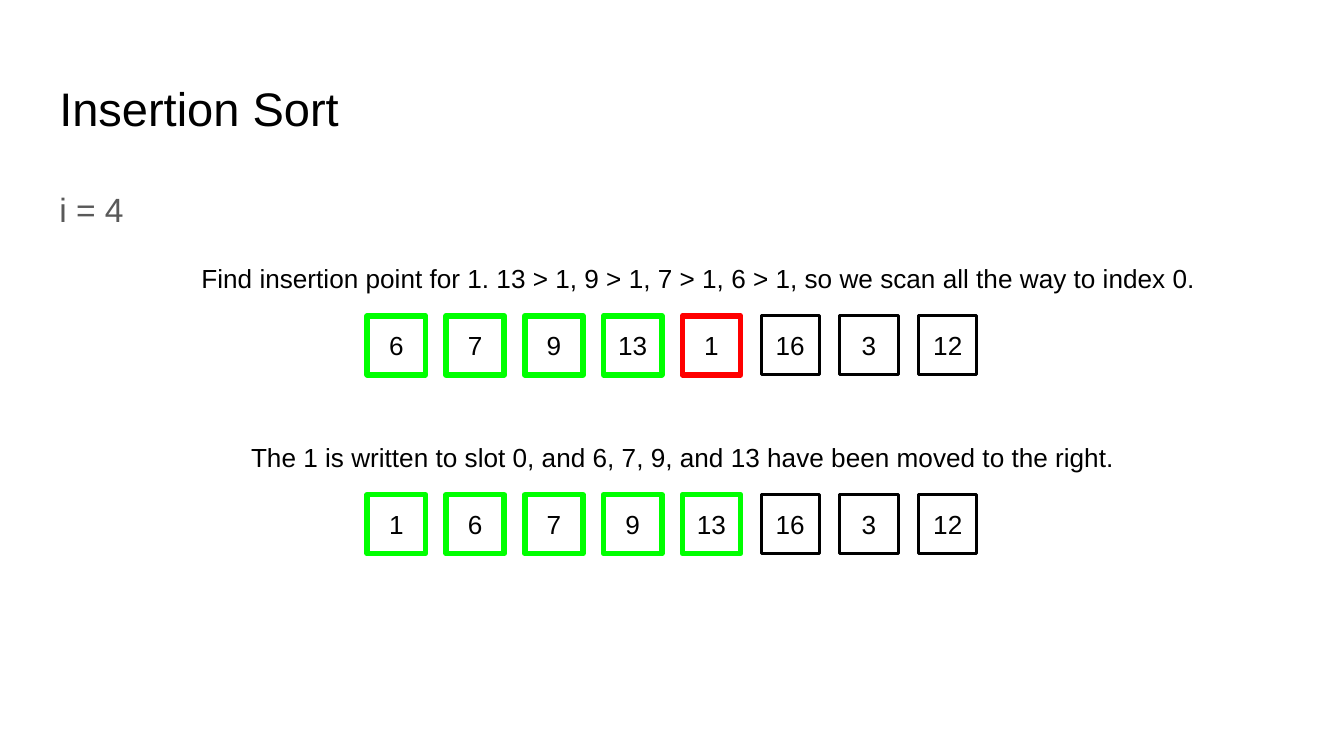
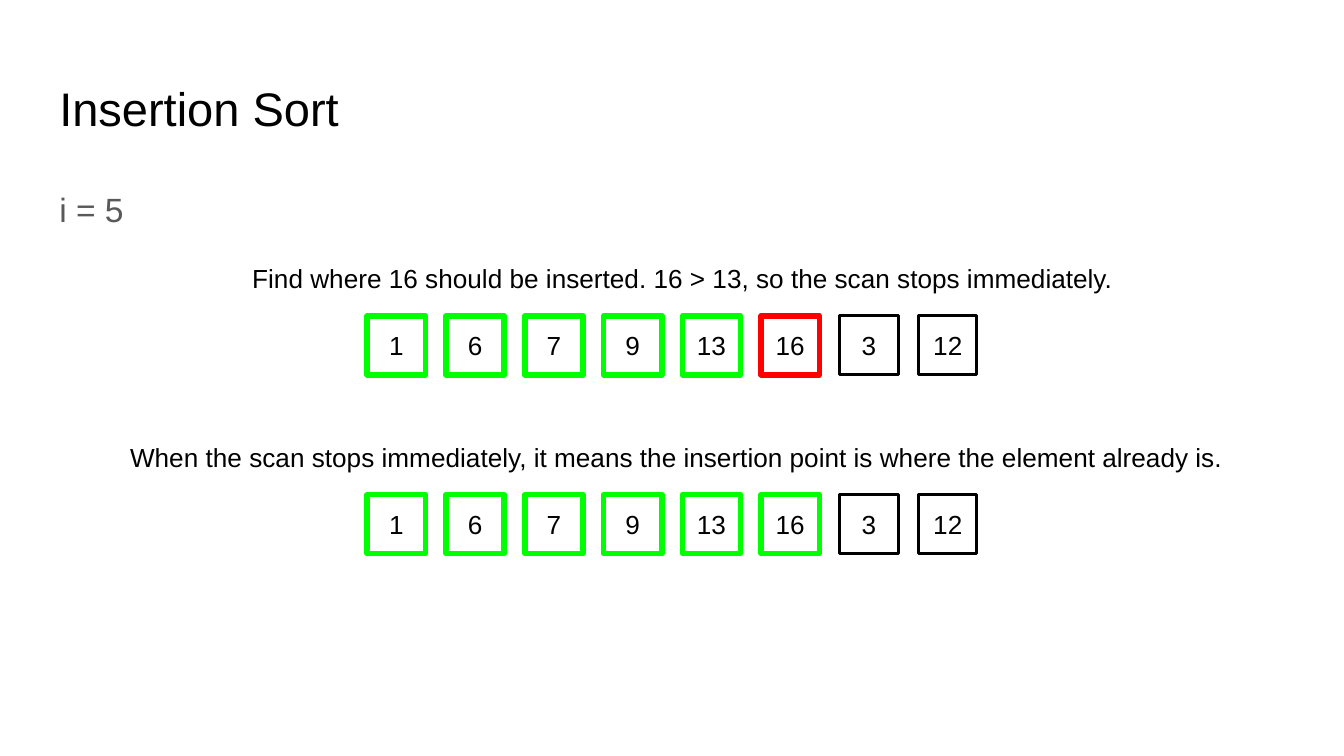
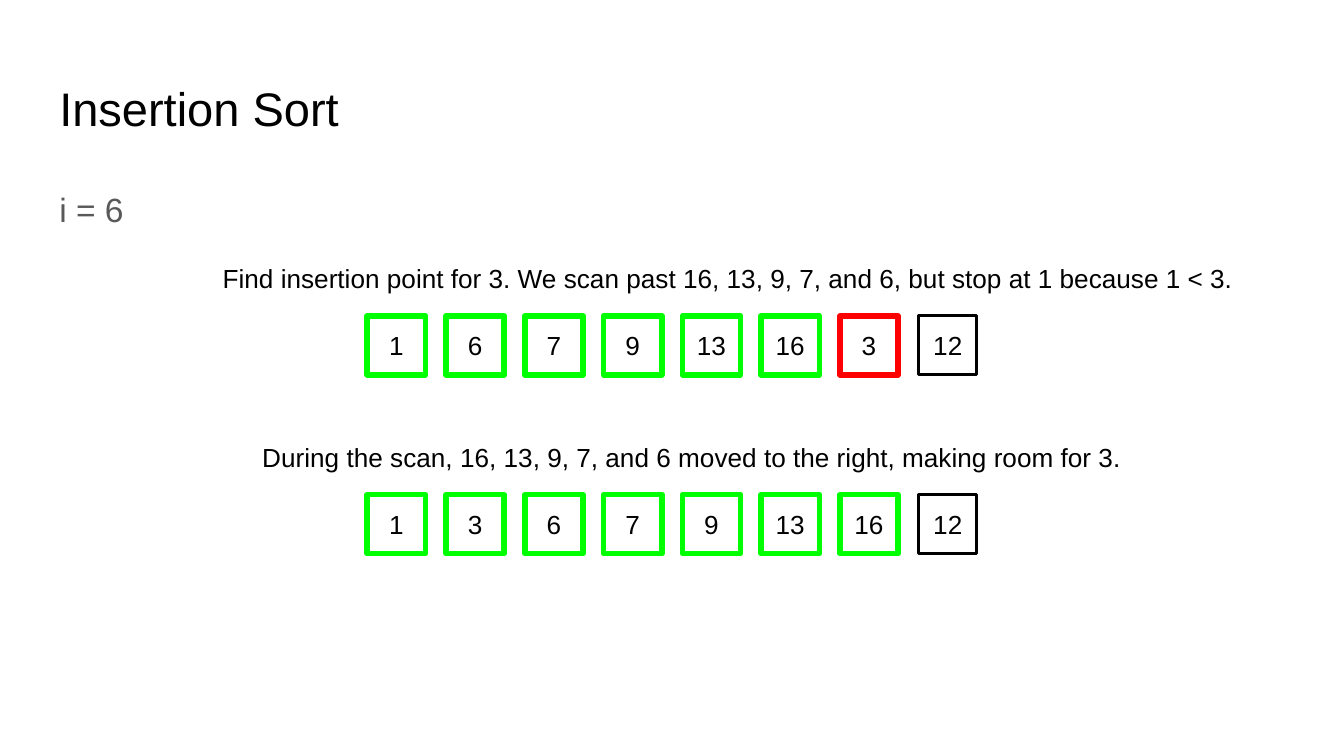
from dataclasses import dataclass

from lxml import etree
from pptx import Presentation
from pptx.dml.color import RGBColor
from pptx.enum.shapes import MSO_SHAPE
from pptx.enum.text import MSO_ANCHOR, MSO_AUTO_SIZE, PP_ALIGN
from pptx.oxml.ns import qn
from pptx.util import Pt

RECT = MSO_SHAPE.RECTANGLE
TOP, MIDDLE, BOTTOM = MSO_ANCHOR.TOP, MSO_ANCHOR.MIDDLE, MSO_ANCHOR.BOTTOM
LEFT, CENTER = PP_ALIGN.LEFT, PP_ALIGN.CENTER
FIXED, GROW = MSO_AUTO_SIZE.NONE, MSO_AUTO_SIZE.SHAPE_TO_FIT_TEXT


@dataclass(frozen=True)
class Theme:
    """Colours, type sizes and measures shared by the slides."""
    font: str = "Arial"
    ink: RGBColor = RGBColor(0x00, 0x00, 0x00)
    grey: RGBColor = RGBColor(0x59, 0x59, 0x59)
    sorted_line: RGBColor = RGBColor(0x00, 0xFF, 0x00)
    current_line: RGBColor = RGBColor(0xFF, 0x00, 0x00)
    title_size: float = 25.2
    body_size: float = 18
    text_size: float = 14
    inset: float = 7.2
    thick: float = 3
    thin: float = 1.5


THEME = Theme()
SLIDE_SIZE = (720, 405)
TITLE_BOX = (24.55, 35.05, 670.9, 45.1)
BODY_BOX = (24.55, 90.75, 670.9, 269)
CELL_LEFT, CELL_PITCH = 196.75, 42.2
CELL_W, CELL_H = 31.2, 31.6
CAPTION_TOPS = (133.2, 229)
CELL_DROP = 36

START = [6, 7, 9, 13, 1, 16, 3, 12]
STEPS = [
    (4,
     ("Find insertion point for 1. 13 > 1, 9 > 1, 7 > 1, 6 > 1, so we scan all the way to index 0.",
      100.8, 577.4),
     ("The 1 is written to slot 0, and 6, 7, 9, and 13 have been moved to the right.",
      127.4, 478.8)),
    (5,
     ("Find where 16 should be inserted. 16 > 13, so the scan stops immediately.",
      128, 491),
     ("When the scan stops immediately, it means the insertion point is where the element already is.",
      62.6, 609.1)),
    (6,
     ("Find insertion point for 3. We scan past 16, 13, 9, 7, and 6, but stop at 1 because 1 < 3.",
      112.2, 563),
     ("During the scan, 16, 13, 9, 7, and 6 moved to the right, making room for 3.",
      133.4, 478.8)),
]


def set_attrs(obj, values):
    """Set each named attribute of an object."""
    for name, value in values.items():
        setattr(obj, name, value)


def write(sp, text, size, color=THEME.ink, align=LEFT, anchor=TOP, fit=FIXED):
    """Fill a shape with one formatted paragraph and return it."""
    tf = sp.text_frame
    set_attrs(tf, {"word_wrap": True, "auto_size": fit, "vertical_anchor": anchor})
    sides = ("left", "top", "right", "bottom")
    set_attrs(tf, {f"margin_{side}": Pt(THEME.inset) for side in sides})
    p = tf.paragraphs[0]
    p.alignment = align
    r = p.add_run()
    r.text = text
    set_attrs(r.font, {"name": THEME.font, "size": Pt(size)})
    r.font.color.rgb = color
    return p


def place(sp, box):
    """Move and size a placeholder."""
    names = ("left", "top", "width", "height")
    set_attrs(sp, dict(zip(names, map(Pt, box))))


def add_heading(s, title, body):
    """Fill the title and body placeholders."""
    place(s.shapes.title, TITLE_BOX)
    write(s.shapes.title, title, THEME.title_size, anchor=BOTTOM)
    sp = s.placeholders[1]
    place(sp, BODY_BOX)
    p = write(sp, body, THEME.body_size, THEME.grey)
    set_attrs(p, {"line_spacing": 1.15, "space_before": Pt(0), "space_after": Pt(12)})
    pPr = p._p.get_or_add_pPr()
    pPr.set("marL", "0")
    pPr.set("indent", "0")
    etree.SubElement(pPr, qn("a:buNone"))


def add_caption(s, text, left, top, width):
    """Add the sentence above a row of cells."""
    sp = s.shapes.add_textbox(Pt(left), Pt(top), Pt(width), Pt(CELL_H))
    write(sp, text, THEME.text_size, fit=GROW)


def add_cell(s, value, left, top, color, weight):
    """Add one outlined array cell."""
    sp = s.shapes.add_shape(RECT, Pt(left), Pt(top), Pt(CELL_W), Pt(CELL_H))
    sp.shadow.inherit = False
    sp.fill.background()
    sp.line.color.rgb = color
    sp.line.width = Pt(weight)
    write(sp, str(value), THEME.text_size, align=CENTER, anchor=MIDDLE, fit=GROW)


def add_array(s, values, top, sorted_count, current=None):
    """Add a row of cells, marking the sorted part and the current one."""
    for k, value in enumerate(values):
        if k < sorted_count:
            style = (THEME.sorted_line, THEME.thick)
        elif k == current:
            style = (THEME.current_line, THEME.thick)
        else:
            style = (THEME.ink, THEME.thin)
        add_cell(s, value, CELL_LEFT + k * CELL_PITCH, top, *style)


def add_step(prs, i, before, after, captions):
    """Add a slide showing the array before and after inserting element i."""
    s = prs.slides.add_slide(prs.slide_layouts[1])
    add_heading(s, "Insertion Sort", f"i = {i}")
    rows = ((before, i, i), (after, i + 1, None))
    for (text, left, width), top, (values, count, current) in zip(captions, CAPTION_TOPS, rows):
        add_caption(s, text, left, top, width)
        add_array(s, values, top + CELL_DROP, count, current)


def main():
    """Build the deck."""
    prs = Presentation()
    prs.slide_width, prs.slide_height = map(Pt, SLIDE_SIZE)
    values = START
    for i, *captions in STEPS:
        after = sorted(values[:i + 1]) + values[i + 1:]
        add_step(prs, i, values, after, captions)
        values = after
    prs.save("out.pptx")


if __name__ == "__main__":
    main()
